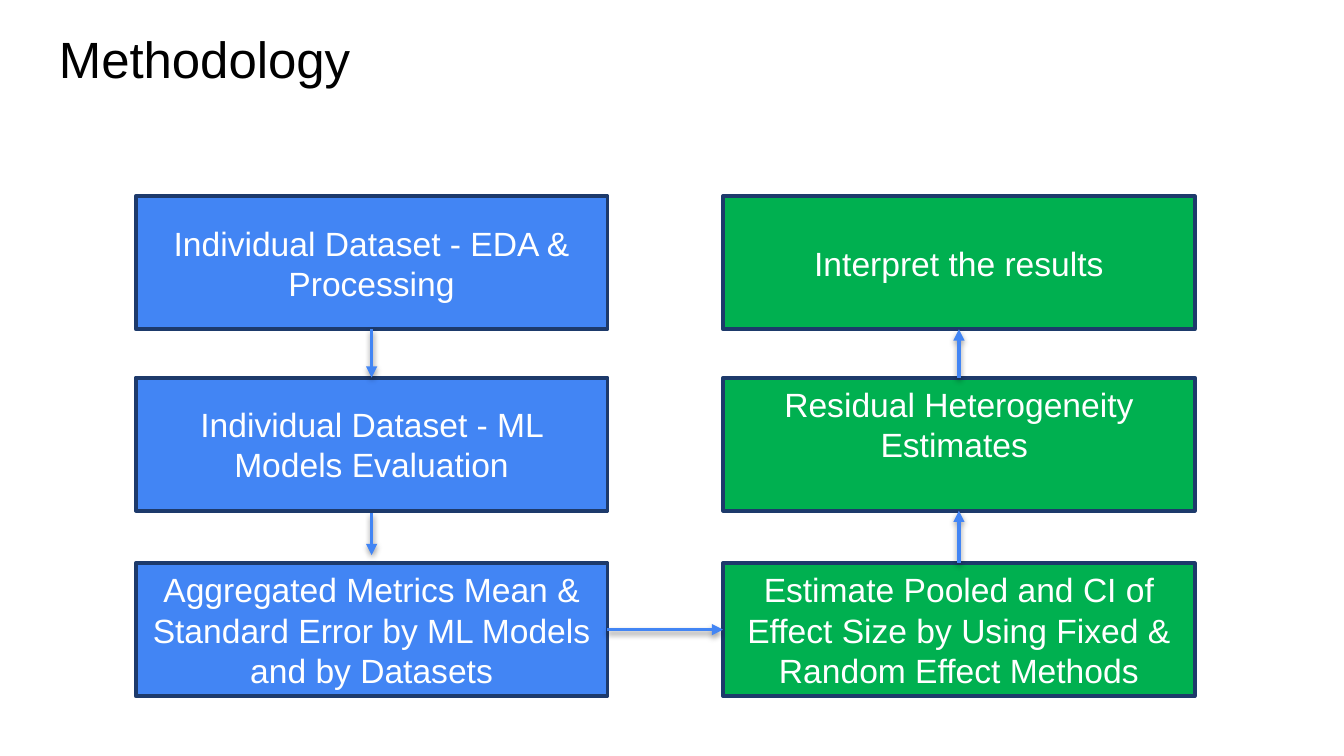
from lxml import etree
from pptx import Presentation
from pptx import util as u
from pptx.dml.color import RGBColor
from pptx.enum import shapes, text
from pptx.oxml import parse_xml
from pptx.oxml.ns import nsdecls, qn

COLORS = {
    "blue": "4285F4",
    "green": "00B050",
    "outline": "1D3A6B",
    "white": "FFFFFF",
    "black": "000000",
}
FONT = "Arial"
SLIDE_WIDTH = 10
SLIDE_HEIGHT = SLIDE_WIDTH * 9 / 16
BOX_WIDTH, BOX_HEIGHT = 3.51, 0.99
LEFT_COLUMN, RIGHT_COLUMN = 1.01, 5.38
ROWS = (1.46, 2.81, 4.19)

DATASET_STEPS = (
    "Individual Dataset - EDA & Processing",
    "Individual Dataset - ML Models Evaluation",
    "Aggregated Metrics Mean & Standard Error by ML Models and by Datasets",
)
ESTIMATE_STEPS = (
    "Interpret the results",
    "Residual Heterogeneity Estimates ",
    "Estimate Pooled and CI of Effect Size by Using Fixed & Random Effect Methods",
)

SHADOW = f"""<a:effectLst {nsdecls('a')}>
  <a:outerShdw blurRad="40000" dist="20000" dir="5400000" rotWithShape="0">
    <a:srgbClr val="{COLORS['black']}"><a:alpha val="38000"/></a:srgbClr>
  </a:outerShdw>
</a:effectLst>"""


def rgb(name):
    return RGBColor.from_string(COLORS[name])


def write_text(shape, words, size=18, color="white", align=text.PP_ALIGN.CENTER,
               anchor=text.MSO_ANCHOR.MIDDLE, insets=(0.1, 0.05, 0.1, 0.05),
               line_spacing=None):
    """Fill a shape with one paragraph; insets run left, top, right, bottom."""
    frame = shape.text_frame
    frame.word_wrap = True
    frame.vertical_anchor = anchor
    (frame.margin_left, frame.margin_top,
     frame.margin_right, frame.margin_bottom) = map(u.Inches, insets)
    paragraph = frame.paragraphs[0]
    paragraph.alignment = align
    paragraph.line_spacing = line_spacing
    run = paragraph.add_run()
    run.text = words
    run.font.name = FONT
    run.font.size = u.Pt(size)
    run.font.color.rgb = rgb(color)


def add_title(slide, words):
    box = slide.shapes.add_textbox(u.Inches(0.34), u.Inches(0.16),
                                   u.Inches(9.32), u.Inches(0.63))
    write_text(box, words, size=27.3, color="black", align=text.PP_ALIGN.LEFT,
               anchor=text.MSO_ANCHOR.TOP, insets=(0.1,) * 4, line_spacing=0.9)


def add_step(slide, words, left, top, fill, **text_format):
    box = slide.shapes.add_shape(shapes.MSO_SHAPE.RECTANGLE, u.Inches(left), u.Inches(top),
                                 u.Inches(BOX_WIDTH), u.Inches(BOX_HEIGHT))
    box.shadow.inherit = False
    box.fill.solid()
    box.fill.fore_color.rgb = rgb(fill)
    box.line.color.rgb = rgb("outline")
    box.line.width = u.Pt(2)
    write_text(box, words, **text_format)


def add_arrow(slide, start, end):
    arrow = slide.shapes.add_connector(shapes.MSO_CONNECTOR.STRAIGHT,
                                       *map(u.Inches, start + end))
    arrow.line.color.rgb = rgb("blue")
    arrow.line.width = u.Pt(2)
    etree.SubElement(arrow.line._get_or_add_ln(), qn("a:tailEnd"), type="triangle")
    arrow._element.spPr.append(parse_xml(SHADOW))


def main():
    presentation = Presentation()
    presentation.slide_width = u.Inches(SLIDE_WIDTH)
    presentation.slide_height = u.Inches(SLIDE_HEIGHT)
    slide = presentation.slides.add_slide(presentation.slide_layouts[6])

    for words, top in zip(DATASET_STEPS, ROWS):
        add_step(slide, words, LEFT_COLUMN, top, "blue")
    # The middle estimate sits half a line higher than the others.
    raised = {"insets": (0.1, 0.05, 0.1, 0.35)}
    for words, top, text_format in zip(ESTIMATE_STEPS, ROWS, ({}, raised, {})):
        add_step(slide, words, RIGHT_COLUMN, top, "green", **text_format)

    first, middle, last = ROWS
    down = LEFT_COLUMN + BOX_WIDTH / 2
    up = RIGHT_COLUMN + BOX_WIDTH / 2
    across = last + BOX_HEIGHT / 2
    add_arrow(slide, (down, first + BOX_HEIGHT), (down, middle))
    add_arrow(slide, (down, 3.82), (down, 4.13))
    add_arrow(slide, (LEFT_COLUMN + BOX_WIDTH, across), (RIGHT_COLUMN, across))
    for lower, upper in ((last, middle), (middle, first)):
        add_arrow(slide, (up, lower), (up, upper + BOX_HEIGHT))

    add_title(slide, "Methodology")
    presentation.save("out.pptx")


if __name__ == "__main__":
    main()
